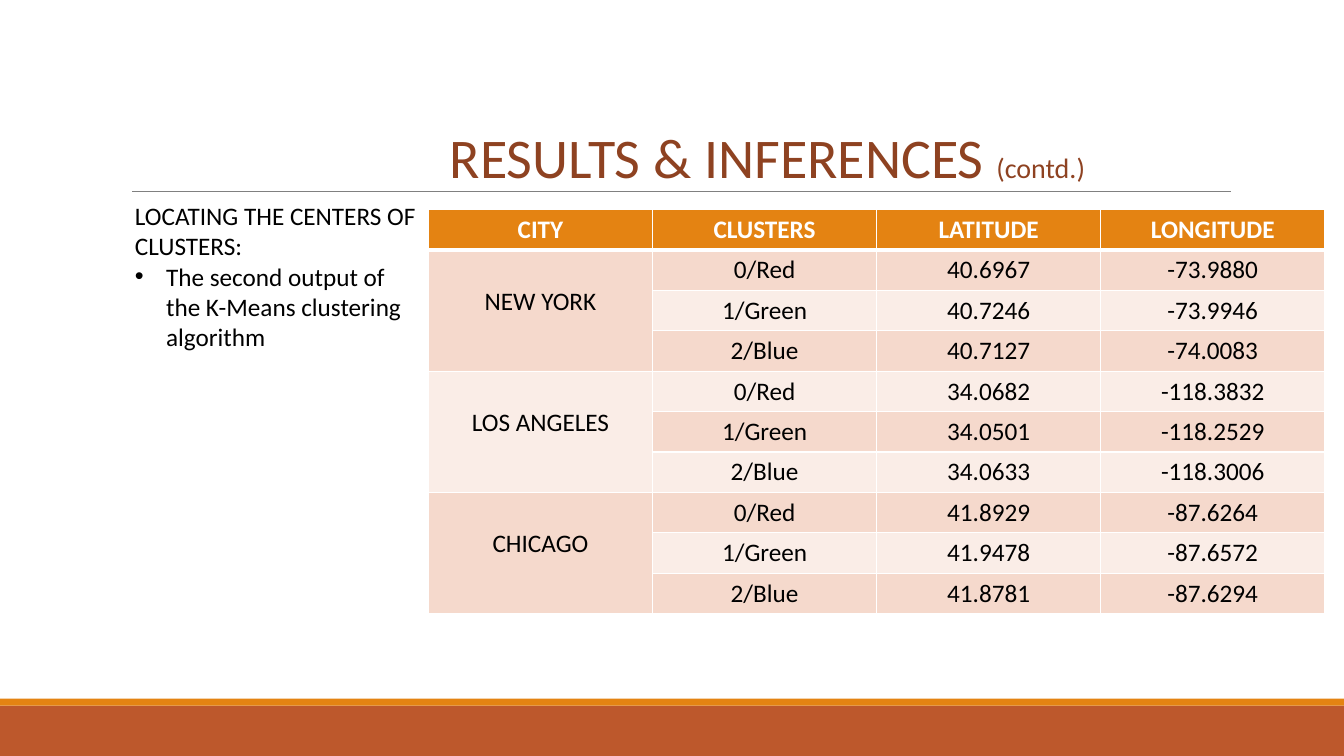
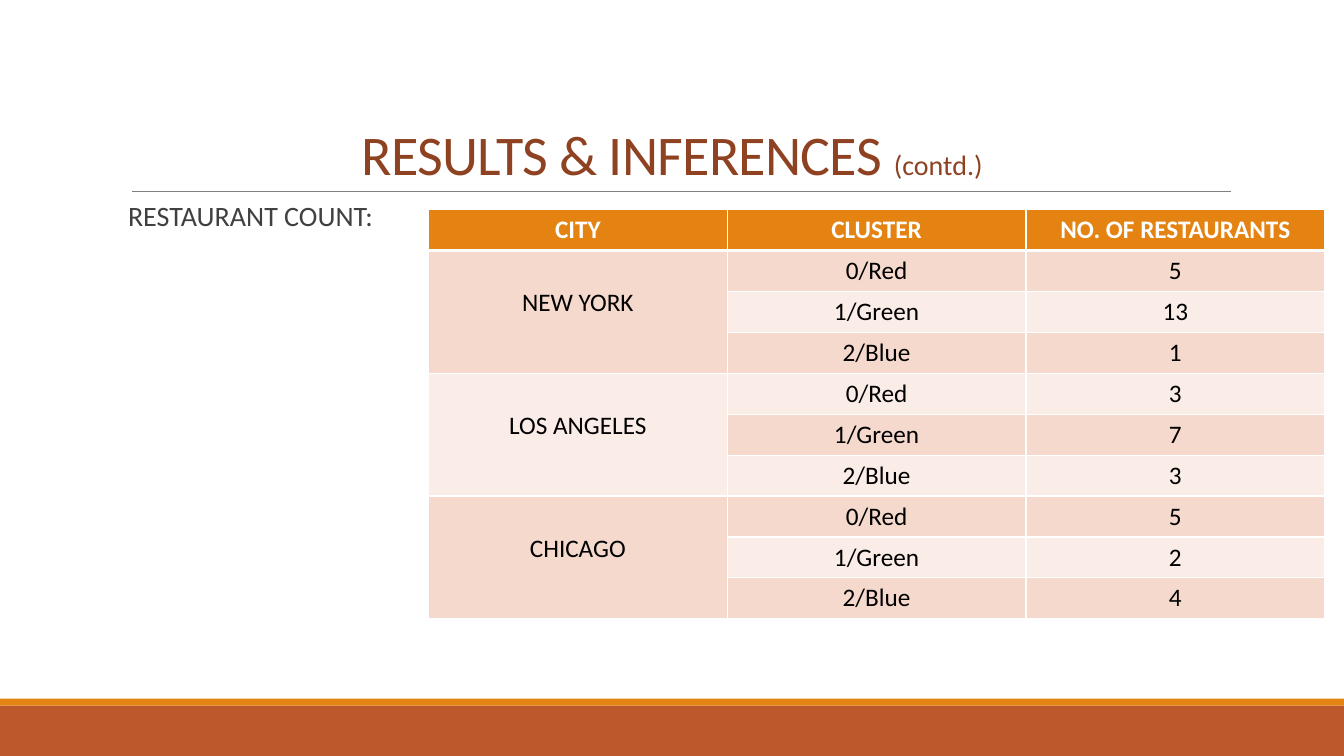
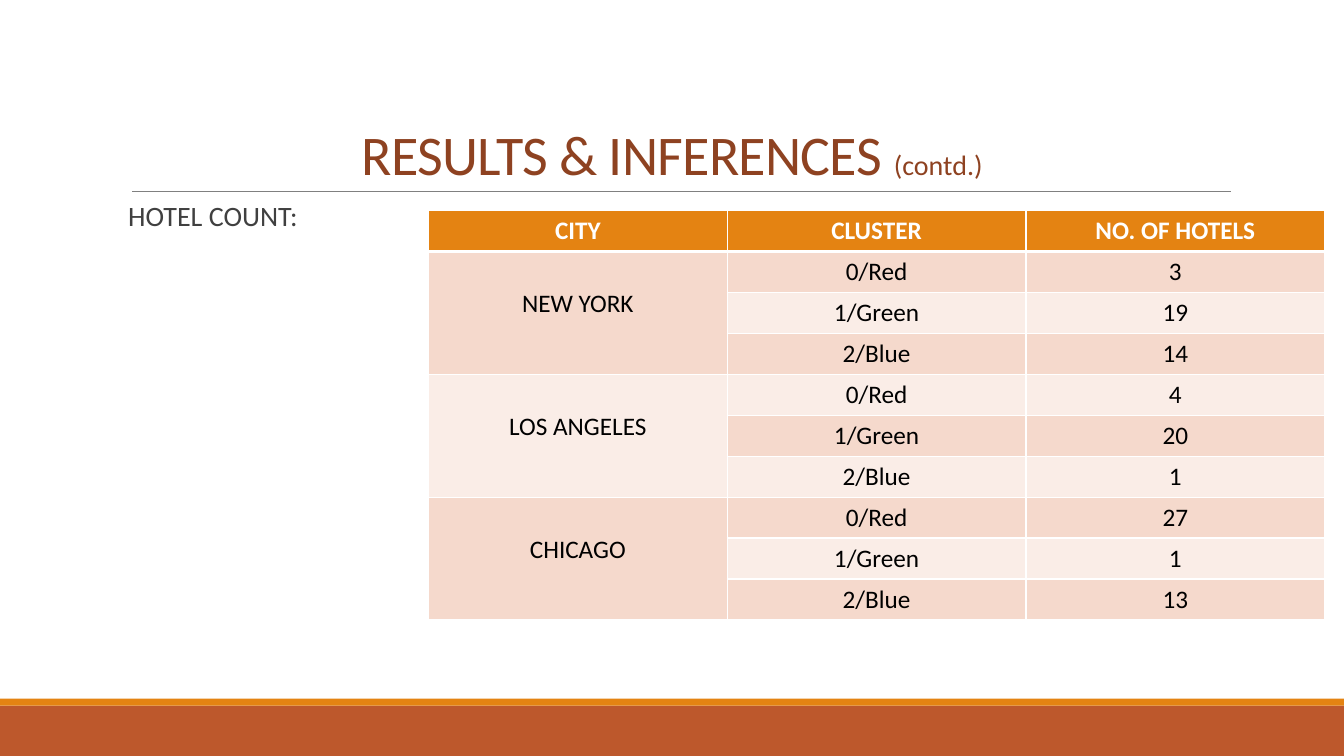
from lxml.etree import SubElement
from pptx import Presentation
from pptx.dml.color import RGBColor
from pptx.enum.shapes import MSO_CONNECTOR, MSO_SHAPE
from pptx.enum.text import MSO_ANCHOR, MSO_AUTO_SIZE, PP_ALIGN
from pptx.oxml.ns import qn
from pptx.util import Inches, Pt

WIDTH, HEIGHT = Inches(13.33), Inches(7.5)
FONT = "Calibri"
WHITE = RGBColor(0xFF, 0xFF, 0xFF)
BLACK = RGBColor(0, 0, 0)
GREY = RGBColor(0x80, 0x80, 0x80)
DARK_GREY = RGBColor(0x40, 0x40, 0x40)
RUST = RGBColor(0xBD, 0x58, 0x2C)
ORANGE = RGBColor(0xE4, 0x83, 0x12)
BROWN = RGBColor(0x8E, 0x42, 0x21)
ROW_TINTS = (RGBColor(0xFA, 0xED, 0xE7), RGBColor(0xF5, 0xD9, 0xCC))

CITIES = ("NEW YORK", "LOS ANGELES", "CHICAGO")
CLUSTERS = ("0/Red", "1/Green", "2/Blue")
CENTERS = (
    ("40.6967", "-73.9880"), ("40.7246", "-73.9946"), ("40.7127", "-74.0083"),
    ("34.0682", "-118.3832"), ("34.0501", "-118.2529"), ("34.0633", "-118.3006"),
    ("41.8929", "-87.6264"), ("41.9478", "-87.6572"), ("41.8781", "-87.6294"),
)
RESTAURANTS = ("5", "13", "1", "3", "7", "3", "5", "2", "4")
HOTELS = ("3", "19", "14", "4", "20", "1", "27", "1", "13")

RULE_AREA = (9.83, 25.33, 81.77, 0)
BASE_AREA = (0, 93.33, 100, 6.67)
ACCENT_AREA = (0, 92.4, 100, 0.93)
WIDE_TITLE_AREA = (9, 4.13, 82.5, 21.2)
SHIFTED_TITLE_AREA = (28.95, 15.6, 56.78, 10.27)
HEADING_AREA = (9.53, 26.13, 18.6, 13.07)
NOTES_AREA = (9.3, 25.87, 22.57, 34.13)
CENTERS_AREA = (31.88, 27.73, 66.69, 53.47)
RESTAURANTS_AREA = (31.88, 27.73, 66.69, 54.13)
HOTELS_AREA = (31.88, 27.87, 66.69, 54.13)


def place(left, top, width, height):
    """Turn percentages of the slide into lengths."""
    return (int(WIDTH * left / 100), int(HEIGHT * top / 100),
            int(WIDTH * width / 100), int(HEIGHT * height / 100))


def write(paragraph, text, size=18, color=BLACK, bold=False, align=None,
          tracking=None, line_spacing=None, space_after=None):
    """Add a formatted run to a paragraph."""
    if align is not None:
        paragraph.alignment = align
    if line_spacing is not None:
        paragraph.line_spacing = line_spacing
    if space_after is not None:
        paragraph.space_after = Pt(space_after)
    run = paragraph.add_run()
    run.text = text
    run.font.name = FONT
    run.font.size = Pt(size)
    run.font.bold = bold
    run.font.color.rgb = color
    if tracking is not None:
        run._r.get_or_add_rPr().set("spc", str(int(tracking * 100)))


def dress_layout(layout, slide):
    """Give the layout the bands and the rule, drawn by way of a slide."""
    for placeholder in list(layout.placeholders)[1:]:
        placeholder.element.getparent().remove(placeholder.element)
    parts = []
    for area, color in ((BASE_AREA, RUST), (ACCENT_AREA, ORANGE)):
        band = slide.shapes.add_shape(MSO_SHAPE.RECTANGLE, *place(*area))
        band.shadow.inherit = False
        band.fill.solid()
        band.fill.fore_color.rgb = color
        band.line.fill.background()
        parts.append(band)
    left, top, width, height = place(*RULE_AREA)
    rule = slide.shapes.add_connector(
        MSO_CONNECTOR.STRAIGHT, left, top, left + width, top + height)
    rule.line.color.rgb = GREY
    rule.line.width = Pt(0.5)
    SubElement(rule.element.spPr, qn("a:effectLst"))
    for part in parts + [rule]:
        layout.shapes.element.append(part.element)


def add_title(slide, area, anchor, tracking=0, line_spacing=1, space_after=0):
    """Move the title placeholder to its area and fill it."""
    title = slide.shapes.title
    title.left, title.top, title.width, title.height = place(*area)
    frame = title.text_frame
    frame.word_wrap = True
    frame.auto_size = MSO_AUTO_SIZE.NONE
    frame.vertical_anchor = anchor
    heading = frame.paragraphs[0]
    write(heading, "RESULTS & INFERENCES ", size=40, color=BROWN, tracking=tracking,
          align=PP_ALIGN.CENTER, line_spacing=line_spacing, space_after=space_after)
    write(heading, "(contd.) ", size=20, color=BROWN, tracking=0)


def add_text_frame(slide, area):
    """Add a wrapping text box and return its frame."""
    frame = slide.shapes.add_textbox(*place(*area)).text_frame
    frame.word_wrap = True
    return frame


def add_heading(slide, area, text):
    """Add the heading beside a count table."""
    frame = add_text_frame(slide, area)
    frame.margin_left = frame.margin_right = 0
    write(frame.paragraphs[0], text, size=20, color=DARK_GREY,
          line_spacing=0.9, space_after=6)


def add_notes_column(slide, area, heading, point):
    """Add a heading with one bullet point below it."""
    frame = add_text_frame(slide, area)
    write(frame.paragraphs[0], heading)
    bullet = frame.add_paragraph()
    properties = bullet._p.get_or_add_pPr()
    properties.set("marL", str(Inches(0.31)))
    properties.set("indent", str(-Inches(0.31)))
    SubElement(properties, qn("a:buFont"), typeface="Arial")
    SubElement(properties, qn("a:buChar"), char="•")
    write(bullet, point)


def format_cell(cell, fill, bottom_width=1):
    """Set the margins, white borders and fill of a cell."""
    cell.margin_top = cell.margin_bottom = Inches(0.04)
    cell.vertical_anchor = MSO_ANCHOR.MIDDLE
    properties = cell._tc.get_or_add_tcPr()
    for side, width in (("L", 1), ("R", 1), ("T", 1), ("B", bottom_width)):
        border = SubElement(properties, qn(f"a:ln{side}"), w=str(Pt(width)))
        paint = SubElement(border, qn("a:solidFill"))
        SubElement(paint, qn("a:srgbClr"), val=str(WHITE))
    cell.fill.solid()
    cell.fill.fore_color.rgb = fill


def add_cluster_table(slide, area, headers, values):
    """Add a table with one row of values for each cluster of each city."""
    span = len(CLUSTERS)
    rows = [headers]
    for index, measures in enumerate(values):
        city = "" if index % span else CITIES[index // span]
        rows.append((city, CLUSTERS[index % span], *measures))
    left, top, width, height = place(*area)
    table = slide.shapes.add_table(
        len(rows), len(headers), left, top, width, height).table
    table.horz_banding = False
    for column in table.columns:
        column.width = width // len(headers)
    for r, row in enumerate(rows):
        table.rows[r].height = height // len(rows)
        is_header = r == 0
        for c, text in enumerate(row):
            cell = table.cell(r, c)
            format_cell(cell, ORANGE if is_header else ROW_TINTS[r % 2],
                        bottom_width=3 if is_header else 1)
            if text:
                write(cell.text_frame.paragraphs[0], text, bold=is_header,
                      color=WHITE if is_header else BLACK, align=PP_ALIGN.CENTER)
    for first in range(1, len(rows), span):
        city_cell = table.cell(first, 0)
        city_cell.merge(table.cell(first + span - 1, 0))
        city_cell.margin_bottom = Inches(0.22)


def fill_centers_slide(slide):
    """Fill the slide on the centers of the clusters."""
    add_title(slide, SHIFTED_TITLE_AREA, MSO_ANCHOR.TOP)
    add_notes_column(slide, NOTES_AREA, "LOCATING THE CENTERS OF CLUSTERS:",
                     "The second output of the K-Means clustering algorithm")
    add_cluster_table(slide, CENTERS_AREA,
                      ("CITY", "CLUSTERS", "LATITUDE", "LONGITUDE"), CENTERS)


def fill_count_slide(slide, area, heading, count_label, counts):
    """Fill a slide that counts places by cluster."""
    add_title(slide, WIDE_TITLE_AREA, MSO_ANCHOR.BOTTOM, tracking=-0.5,
              line_spacing=0.85, space_after=6)
    add_cluster_table(slide, area, ("CITY", "CLUSTER", count_label),
                      [(count,) for count in counts])
    add_heading(slide, HEADING_AREA, heading)


def main():
    """Build and save the presentation."""
    deck = Presentation()
    deck.slide_width, deck.slide_height = WIDTH, HEIGHT
    layout = deck.slide_layouts.get_by_name("Title Only")
    centers, restaurants, hotels = [deck.slides.add_slide(layout) for _ in range(3)]
    dress_layout(layout, centers)
    fill_centers_slide(centers)
    fill_count_slide(restaurants, RESTAURANTS_AREA, "RESTAURANT COUNT:",
                     "NO. OF RESTAURANTS", RESTAURANTS)
    fill_count_slide(hotels, HOTELS_AREA, "HOTEL COUNT:", "NO. OF HOTELS", HOTELS)
    deck.save("out.pptx")


if __name__ == "__main__":
    main()
